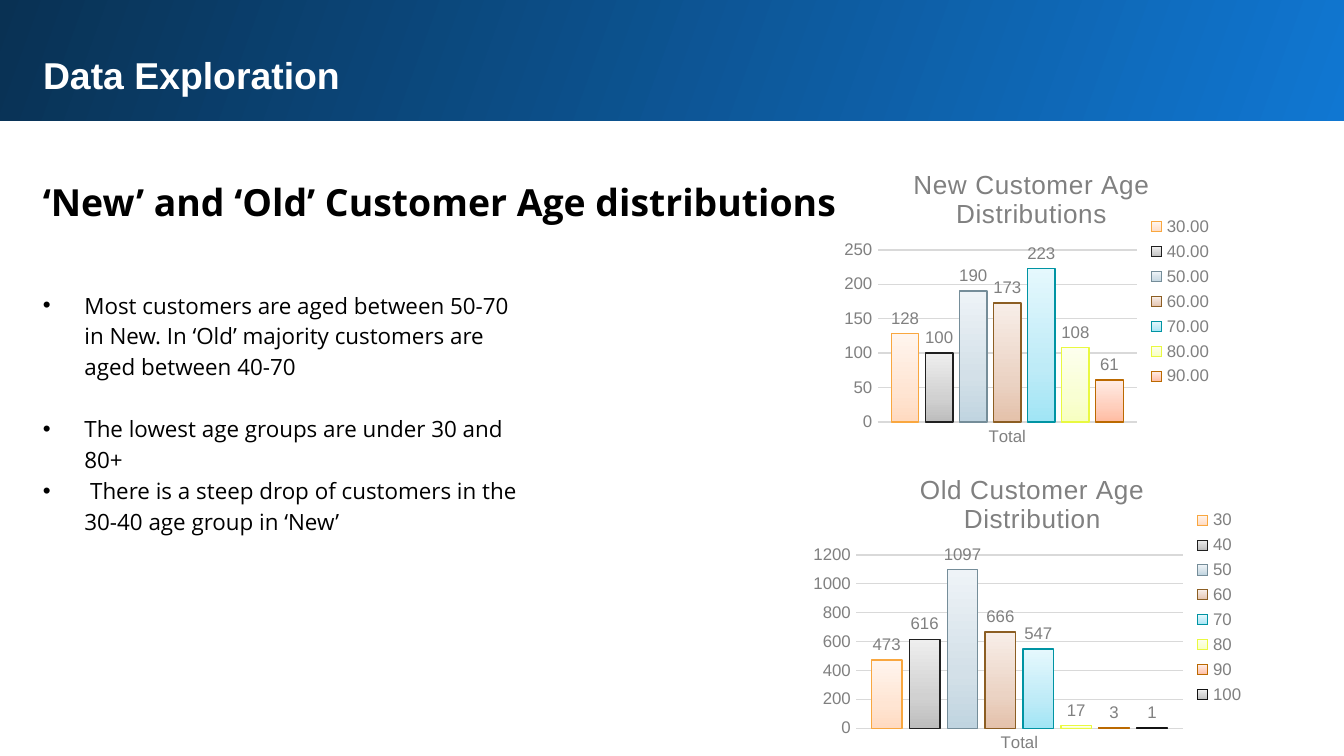
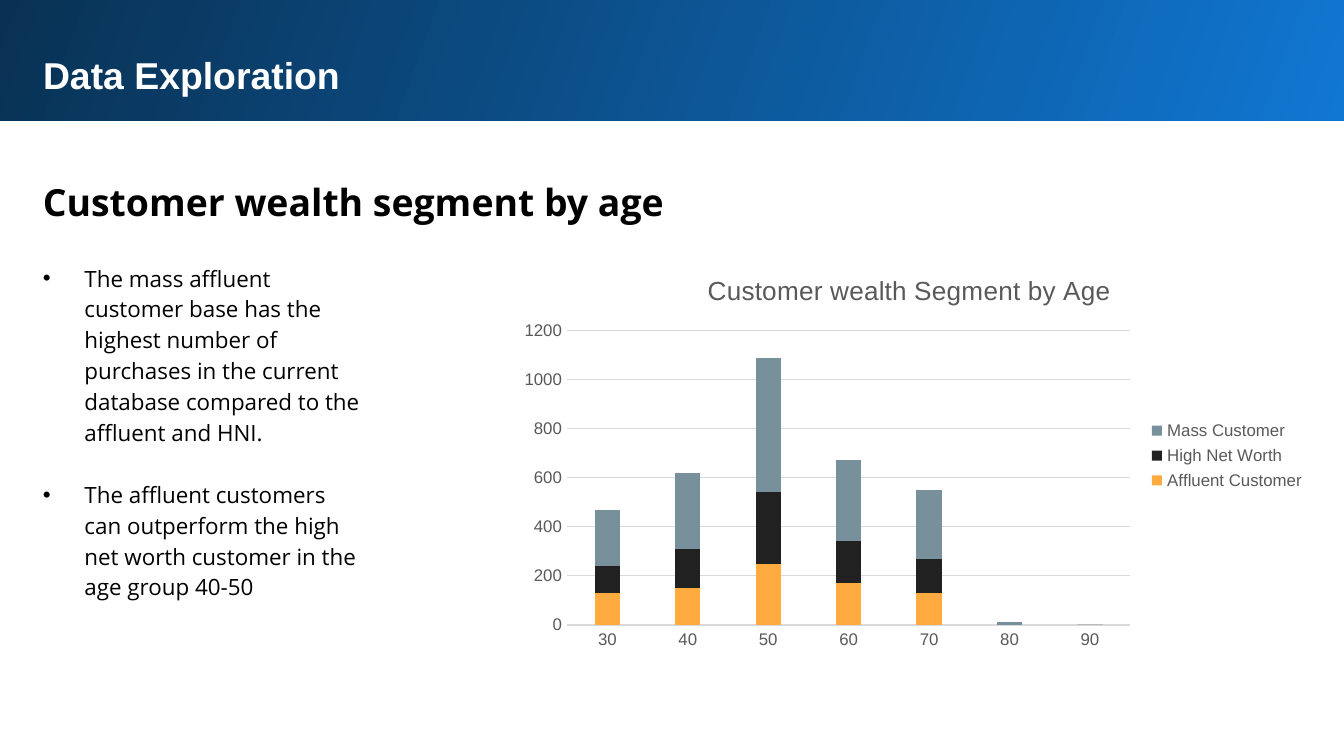
"""Build two data exploration slides on customer age and wealth segments."""
import pptx
import pptx.chart.data
import pptx.dml.color
import pptx.enum.chart
import pptx.enum.shapes
import pptx.enum.text
import pptx.oxml
import pptx.oxml.ns
import pptx.util
from pptx.util import Inches, Pt

COLOURS = {
    "white": "FFFFFF",
    "black": "000000",
    "band_bright": "1077D2",
    "band_dark": "093153",
    "grey": "808080",
    "dark_grey": "595959",
    "rule": "D9D9D9",
    "affluent": "FFAB40",
    "high_net_worth": "212121",
    "mass": "78909C",
}
AGE_STYLES = [
    (("FFDAC0", "FFE5D3", "FFF5EE"), "F9A73F"),
    (("BDBDBD", "D1D1D1", "EEEEEE"), "202020"),
    (("C0D4E0", "D3E0E8", "EEF3F7"), "758D99"),
    (("E4C1AA", "EBD3C4", "F8EEE8"), "8C5E23"),
    (("A0E5F5", "BEEBF7", "E5F8FD"), "0094A3"),
    (("F7FFC0", "F9FFD3", "FDFFEE"), "E9F940"),
    (("FFBBA0", "FFCEBC", "FFECE5"), "BB6900"),
    (("BDBDBD", "D1D1D1", "EEEEEE"), "131313"),
]
HEADING = "Data Exploration"
LEFT = Inches(0.22)
CLUSTERED = pptx.enum.chart.XL_CHART_TYPE.COLUMN_CLUSTERED
STACKED = pptx.enum.chart.XL_CHART_TYPE.COLUMN_STACKED
OLD_AGES = {"30": 473, "40": 616, "50": 1097, "60": 666,
            "70": 547, "80": 17, "90": 3, "100": 1}
NEW_AGES = {"30.00": 128, "40.00": 100, "50.00": 190, "60.00": 173,
            "70.00": 223, "80.00": 108, "90.00": 61}
AGE_CHART = {"type": CLUSTERED, "categories": ["Total"], "gap": 100,
             "overlap": -24, "ink": "grey", "spacing": 20}
SLIDES = [
    {
        "subtitle": "‘New’ and ‘Old’ Customer Age distributions",
        "points": [
            ("Most customers are aged between 50-70 in New. In ‘Old’ majority "
             "customers are aged between 40-70", 0),
            ("The lowest age groups are under 30 and 80+", 16.5),
            (" There is a steep drop of customers in the 30-40 age group in ‘New’", 0),
        ],
        "points_size": (3.73, 2.28),
        "points_inset": 0.3,
        "charts": [
            AGE_CHART | {
                "title": "Old Customer Age Distribution",
                "at": (5.98, 3.38, 3.38, 2.28),
                "title_at": (0.83, 0.1),
                "plot_at": (0.39, 0.75, 2.43, 1.29),
                "top": 1200, "step": 200,
                "series": [(age, [count]) for age, count in OLD_AGES.items()],
            },
            AGE_CHART | {
                "title": "New Customer Age Distributions",
                "at": (6.23, 1.11, 2.89, 2.27),
                "title_at": (0.53, 0.1),
                "plot_at": (0.3, 0.75, 1.93, 1.28),
                "top": 250, "step": 50,
                "series": [(age, [count]) for age, count in NEW_AGES.items()],
            },
        ],
    },
    {
        "subtitle": "Customer wealth segment by age",
        "points": [
            ("The mass affluent customer base has the highest number of purchases in "
             "the current database compared to the affluent and HNI.", 0),
            ("The affluent customers can outperform the high net worth customer in "
             "the age group 40-50", 16.5),
        ],
        "points_size": (2.58, 2.74),
        "points_inset": 0.1,
        "charts": [
            {
                "type": STACKED, "gap": 219, "overlap": 100,
                "ink": "dark_grey", "spacing": 0,
                "categories": ["30", "40", "50", "60", "70", "80", "90"],
                "title": "Customer wealth Segment by Age",
                "at": (3.78, 1.89, 6.03, 3),
                "title_at": (1.45, 0.11),
                "plot_at": (0.44, 0.57, 4.19, 2.19),
                "top": 1200, "step": 200,
                "series": [
                    ("Affluent Customer", [130, 150, 250, 170, 130, 0, None]),
                    ("High Net Worth", [110, 160, 290, 170, 140, 0, 0]),
                    ("Mass Customer", [230, 310, 550, 330, 280, 10, 0]),
                ],
            },
        ],
    },
]
SEGMENT_FILLS = ["affluent", "high_net_worth", "mass"]


def rgb(value):
    """Return the colour for a hex string or a palette name."""
    return pptx.dml.color.RGBColor.from_string(COLOURS.get(value, value))


def style_font(font, size, colour, name="Arial", bold=False):
    """Set the face, size, weight and colour of a font."""
    font.name, font.size, font.bold = name, Pt(size), bold
    font.color.rgb = rgb(colour)


def fill_gradient(fill, properties, stops, angle):
    """Fill with a linear gradient of (percent, hex) stops at a clockwise angle."""
    fill.gradient()
    fill.gradient_angle = 360 - angle
    stop_list = next(properties.iter(pptx.oxml.ns.qn("a:gsLst")))
    for stop in list(stop_list):
        stop_list.remove(stop)
    for percent, colour in stops:
        stop_list.append(pptx.oxml.parse_xml(
            f'<a:gs {pptx.oxml.ns.nsdecls("a")} pos="{percent * 1000}">'
            f'<a:srgbClr val="{colour}"/></a:gs>'))


def set_layout(element, position, target, lengths, chart_size):
    """Place a chart part by inches from the chart's corner."""
    places = "".join(
        f'<c:{key} val="{length / whole:.4f}"/>'
        for key, length, whole in zip("xywh", lengths, chart_size * 2))
    for layout in element.findall(pptx.oxml.ns.qn("c:layout")):
        element.remove(layout)
    element.insert(position, pptx.oxml.parse_xml(
        f'<c:layout {pptx.oxml.ns.nsdecls("c")}><c:manualLayout>{target}'
        f'<c:xMode val="edge"/><c:yMode val="edge"/>{places}'
        f'</c:manualLayout></c:layout>'))


def prepare_frame(shape, top_inset=0.1):
    """Give a text shape its insets, wrapping and top anchor."""
    frame = shape.text_frame
    frame.margin_left = frame.margin_right = frame.margin_bottom = Inches(0.1)
    frame.margin_top = Inches(top_inset)
    frame.word_wrap = True
    frame.vertical_anchor = pptx.enum.text.MSO_ANCHOR.TOP
    frame.auto_size = pptx.enum.text.MSO_AUTO_SIZE.SHAPE_TO_FIT_TEXT
    return frame


def add_header(slide, subtitle):
    """Add the gradient band, the heading and the subtitle."""
    band = slide.shapes.add_shape(
        pptx.enum.shapes.MSO_SHAPE.RECTANGLE,
        Inches(-0.02), Inches(-0.02), Inches(10.05), Inches(0.92))
    band.shadow.inherit = False
    band.line.fill.background()
    fill_gradient(band.fill, band._element.spPr,
                  [(0, COLOURS["band_bright"]), (100, COLOURS["band_dark"])], 200)
    slide.shapes._spTree.insert(2, band._element)

    title = slide.shapes.title
    title.left, title.top = LEFT, Inches(0.29)
    title.width, title.height = Inches(9.37), Inches(0.51)
    subhead = slide.shapes.add_textbox(LEFT, Inches(1.18), Inches(9.37), Inches(0.56))
    for shape, text, colour, face, spacing in (
            (title, HEADING, "white", "Arial", 1.0),
            (subhead, subtitle, "black", "Open Sans", 1.15)):
        frame = prepare_frame(shape)
        frame.text = text
        line = frame.paragraphs[0]
        line.alignment = pptx.enum.text.PP_ALIGN.LEFT
        line.line_spacing = spacing
        style_font(line.runs[0].font, 20, colour, face, True)


def add_points(slide, points, size, inset):
    """Add the bulleted findings."""
    findings = slide.shapes.add_textbox(LEFT, Inches(1.84), *map(Inches, size))
    frame = prepare_frame(findings, inset)
    frame.text = "\n".join(text for text, gap in points)
    for paragraph, (text, gap) in zip(frame.paragraphs, points):
        paragraph.line_spacing = 1.15
        paragraph.space_before = Pt(gap)
        style_font(paragraph.runs[0].font, 12, "black", "Open Sans")
        properties = paragraph._p.get_or_add_pPr()
        properties.set("marL", str(Inches(0.31)))
        properties.set("indent", str(Inches(-0.31)))
        for bullet in ('buFont {} typeface="Arial"', 'buChar {} char="•"'):
            properties.append(pptx.oxml.parse_xml(
                f'<a:{bullet.format(pptx.oxml.ns.nsdecls("a"))}/>'))


def style_series(series, index, kind, ink):
    """Colour one series and label it when it shows an age group."""
    if kind == STACKED:
        series.format.fill.solid()
        series.format.fill.fore_color.rgb = rgb(SEGMENT_FILLS[index])
        return
    shades, outline = AGE_STYLES[index]
    fill_gradient(series.format.fill, series._element, zip((0, 35, 100), shades), 270)
    series.format.line.color.rgb = rgb(outline)
    series.format.line.width = Pt(0.75)
    labels = series.data_labels
    labels.show_value = True
    labels.position = pptx.enum.chart.XL_LABEL_POSITION.OUTSIDE_END
    style_font(labels.font, 9, ink)


def add_column_chart(slide, details):
    """Add a column chart with its title, axes and legend."""
    data = pptx.chart.data.CategoryChartData()
    data.categories = details["categories"]
    for name, values in details["series"]:
        data.add_series(name, values)
    chart = slide.shapes.add_chart(
        details["type"], *map(Inches, details["at"]), data).chart
    ink, chart_size = details["ink"], details["at"][2:]
    style_font(chart.font, 10, "black")

    chart.has_title = True
    heading = chart.chart_title
    heading.include_in_layout = False
    heading.text_frame.text = details["title"]
    words = heading.text_frame.paragraphs[0].runs[0]
    style_font(words.font, 14, ink)
    words._r.get_or_add_rPr().set("spc", str(details["spacing"]))
    set_layout(heading._element, 1, "", details["title_at"], chart_size)
    set_layout(chart._chartSpace.chart.plotArea, 0, '<c:layoutTarget val="inner"/>',
               details["plot_at"], chart_size)

    chart.has_legend = True
    chart.legend.position = pptx.enum.chart.XL_LEGEND_POSITION.RIGHT
    chart.legend.include_in_layout = False
    style_font(chart.legend.font, 9, ink)

    for axis in (chart.category_axis, chart.value_axis):
        axis.major_tick_mark = pptx.enum.chart.XL_TICK_MARK.NONE
        axis.minor_tick_mark = pptx.enum.chart.XL_TICK_MARK.NONE
        style_font(axis.tick_labels.font, 9, ink)
    counts = chart.value_axis
    counts.minimum_scale, counts.maximum_scale = 0, details["top"]
    counts.major_unit = details["step"]
    counts.format.line.fill.background()
    counts.has_major_gridlines = True
    for rule in (chart.category_axis.format.line, counts.major_gridlines.format.line):
        rule.color.rgb = rgb("rule")
        rule.width = Pt(0.75)

    plot = chart.plots[0]
    plot.vary_by_categories = False
    plot.gap_width, plot.overlap = details["gap"], details["overlap"]
    for index, series in enumerate(plot.series):
        style_series(series, index, details["type"], ink)


def main():
    """Build the slides and save them."""
    deck = pptx.Presentation()
    deck.slide_width = Inches(10)
    deck.slide_height = deck.slide_width * 9 // 16
    for content in SLIDES:
        slide = deck.slides.add_slide(deck.slide_layouts[5])
        add_header(slide, content["subtitle"])
        add_points(slide, content["points"], content["points_size"],
                   content["points_inset"])
        for details in content["charts"]:
            add_column_chart(slide, details)
    deck.save("out.pptx")


if __name__ == "__main__":
    main()
